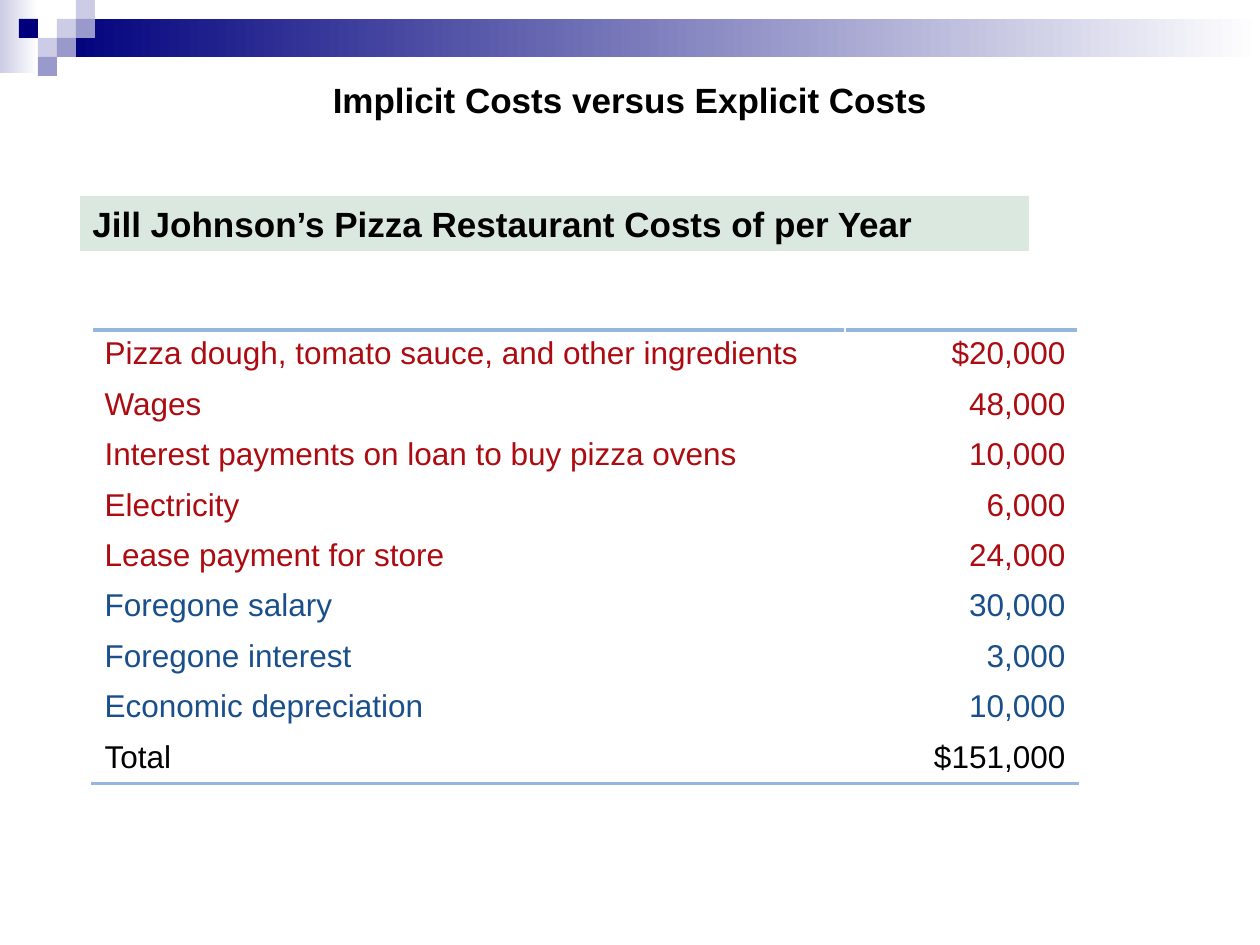
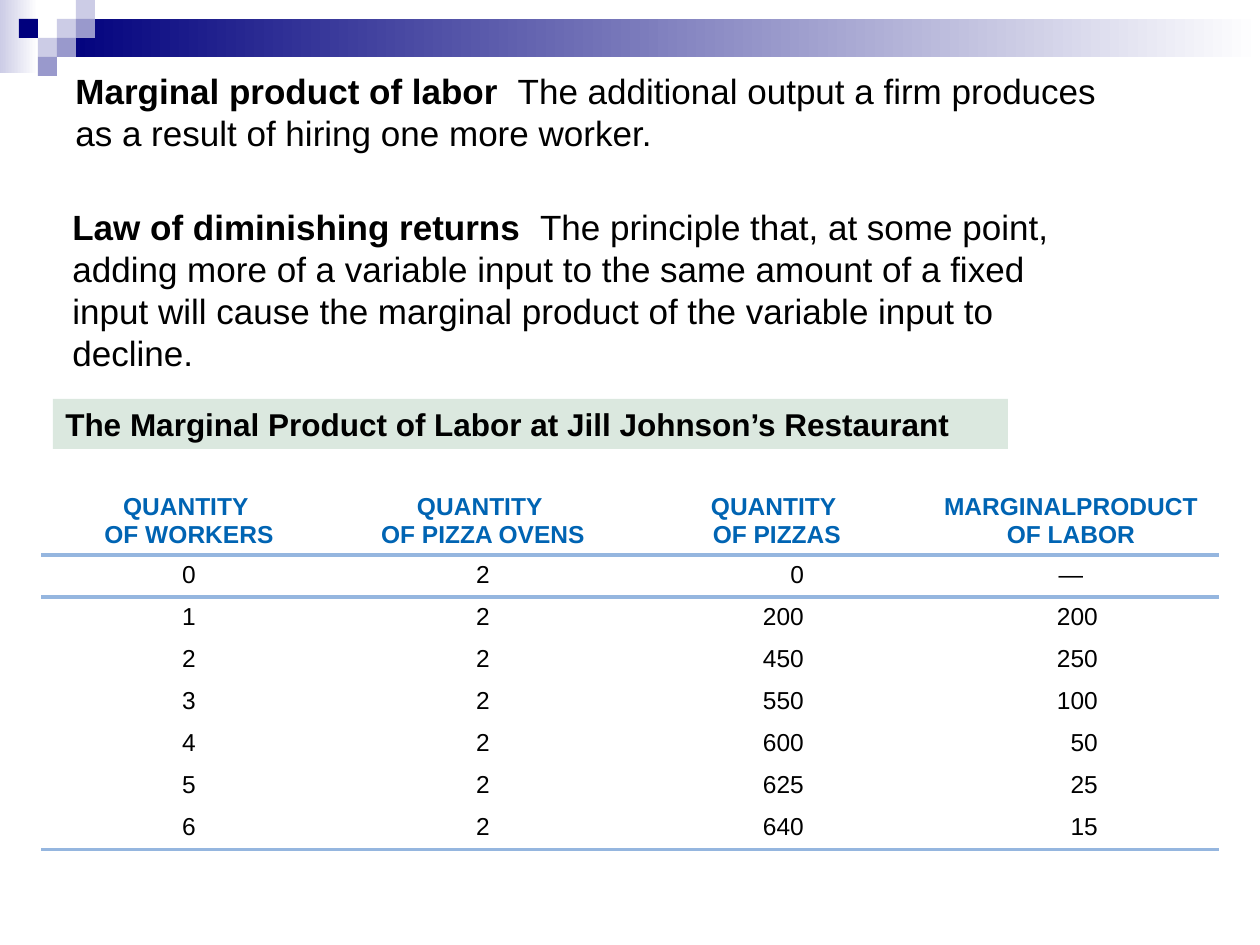
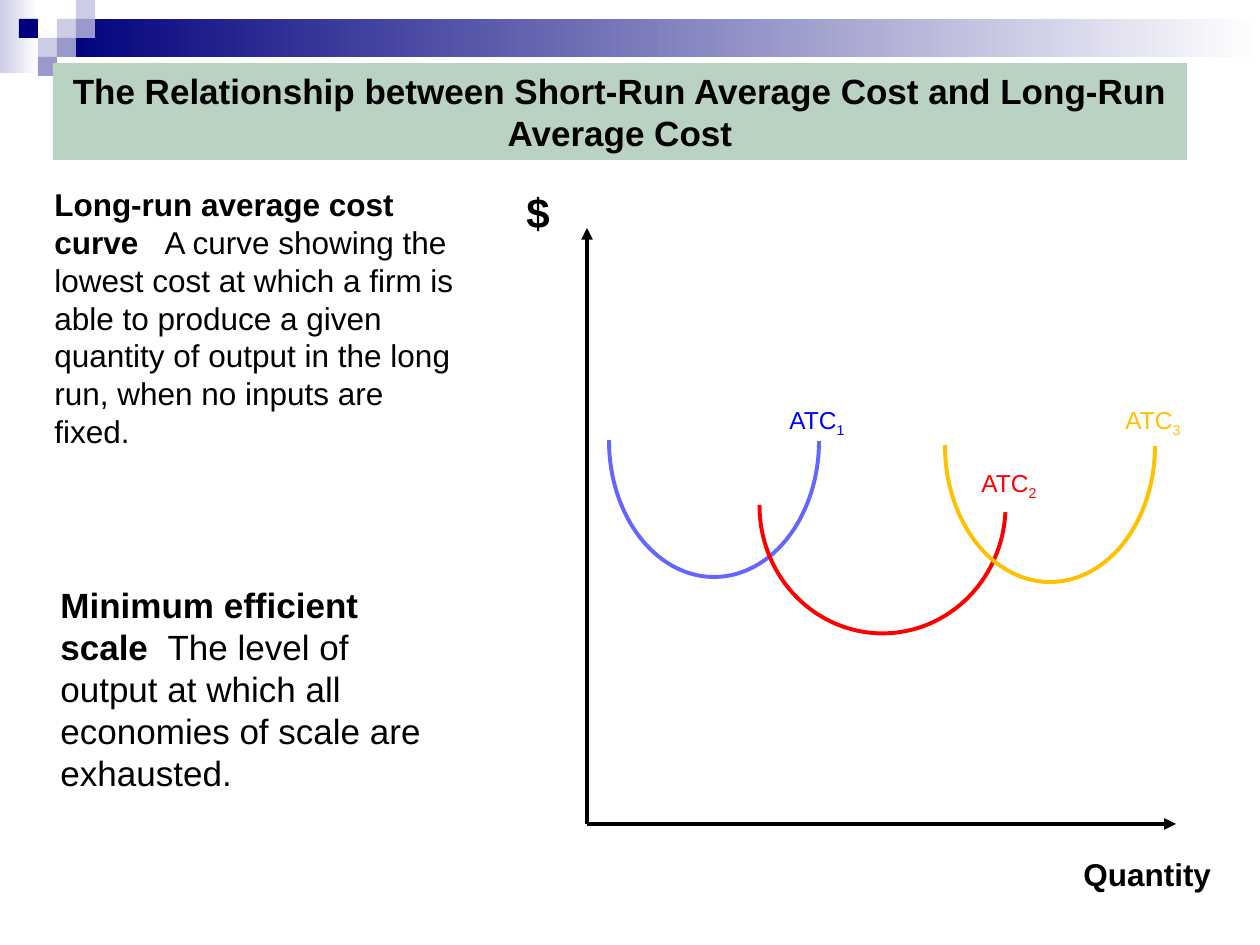
from typing import NamedTuple

from lxml import etree
from pptx import Presentation
from pptx import util as u
from pptx.dml.color import RGBColor
from pptx.enum import shapes, text
from pptx.oxml import ns

FONT = "Arial"
BLACK = RGBColor(0x00, 0x00, 0x00)
WHITE = RGBColor(0xFF, 0xFF, 0xFF)
NAVY = RGBColor(0x00, 0x00, 0x7D)
LAVENDER = RGBColor(0xCC, 0xCC, 0xE6)
PERIWINKLE = RGBColor(0x99, 0x99, 0xCC)
SAGE = RGBColor(0xB9, 0xD2, 0xC1)
RULE_BLUE = RGBColor(0x95, 0xB6, 0xDF)
HEADER_BLUE = RGBColor(0x00, 0x64, 0xB3)
EXPLICIT_RED = RGBColor(0xAC, 0x0C, 0x11)
IMPLICIT_BLUE = RGBColor(0x19, 0x4F, 0x8B)
CURVE_BLUE = RGBColor(0x65, 0x65, 0xFF)
BLUE = RGBColor(0x00, 0x00, 0xFF)
RED = RGBColor(0xFF, 0x00, 0x00)
AMBER = RGBColor(0xFF, 0xC0, 0x00)

LEFT, CENTER, RIGHT = text.PP_ALIGN.LEFT, text.PP_ALIGN.CENTER, text.PP_ALIGN.RIGHT
PX_PER_INCH = 126
LINE_WIDTH = u.Pt(2.25)

COSTS = [
    ("Pizza dough, tomato sauce, and other ingredients", "$20,000", EXPLICIT_RED),
    ("Wages", "48,000", EXPLICIT_RED),
    ("Interest payments on loan to buy pizza ovens", "10,000", EXPLICIT_RED),
    ("Electricity", "6,000", EXPLICIT_RED),
    ("Lease payment for store", "24,000", EXPLICIT_RED),
    ("Foregone salary", "30,000", IMPLICIT_BLUE),
    ("Foregone interest", "3,000", IMPLICIT_BLUE),
    ("Economic depreciation", "10,000", IMPLICIT_BLUE),
    ("Total", "$151,000", BLACK),
]
PRODUCT_HEADERS = ["QUANTITY \nOF WORKERS", "QUANTITY \nOF PIZZA OVENS",
                   "QUANTITY \nOF PIZZAS", "MARGINALPRODUCT OF LABOR"]
PIZZAS = ["0", "200", "450", "550", "600", "625", "640"]
MARGINAL_PRODUCT = ["—", "200", "250", "100", "50", "25", "15"]


def px(length):
    return u.Emu(round(length * u.Inches(1) / PX_PER_INCH))


class Box(NamedTuple):
    left: int
    top: int
    width: int
    height: int

    def inner(self, dx, dy, width, height):
        return Box(self.left + dx, self.top + dy, width, height)

    def emu(self):
        return [px(length) for length in self]


def add_span(para, words, size, color=BLACK, bold=False, baseline=0):
    span = para.add_run()
    span.text = words
    span.font.name, span.font.size = FONT, u.Pt(size)
    span.font.bold = bold
    span.font.color.rgb = color
    if baseline:
        span.font._rPr.set("baseline", str(baseline * 1000))


def start_text(shape, align=LEFT):
    frame = shape.text_frame
    frame.word_wrap = True
    frame.auto_size = text.MSO_AUTO_SIZE.SHAPE_TO_FIT_TEXT
    frame.vertical_anchor = text.MSO_ANCHOR.TOP
    para = frame.paragraphs[0]
    para.alignment = align
    return para


def add_label(page, box, words, size, align=LEFT):
    para = start_text(page.shapes.add_textbox(*box.emu()), align)
    add_span(para, words, size, bold=True)


def add_definition(page, box, term, meaning, size=20):
    para = start_text(page.shapes.add_textbox(*box.emu()))
    add_span(para, term, size, bold=True)
    add_span(para, meaning, size)


def add_rectangle(parent, box):
    rectangle = parent.shapes.add_shape(shapes.MSO_SHAPE.RECTANGLE, *box.emu())
    rectangle.shadow.inherit = False
    rectangle.line.fill.background()
    return rectangle


def fill_solid(shape, color):
    shape.fill.solid()
    shape.fill.fore_color.rgb = color


def fill_fade(shape, color):
    """Fade from the colour on the left to white on the right."""
    shape.fill.gradient()
    shape.fill.gradient_angle = 0
    for stop, shade in zip(shape.fill.gradient_stops, (color, WHITE)):
        stop.color.rgb = shade


def add_banner(page, box, words, size, align=LEFT, opacity=100):
    banner = add_rectangle(page, box)
    fill_solid(banner, SAGE)
    if opacity < 100:
        shade = banner.element.spPr.find(".//" + ns.qn("a:srgbClr"))
        etree.SubElement(shade, ns.qn("a:alpha"), val=str(opacity * 1000))
    add_span(start_text(banner, align), words, size, bold=True)


def decorate_layout(layout, page):
    """Build the top band as a group and move it to the layout all slides use."""
    step = 19
    band = page.shapes.add_group_shape()
    fill_fade(add_rectangle(band, Box(0, 0, 2 * step, 73)), LAVENDER)
    fill_fade(add_rectangle(band, Box(3 * step, step, 1260 - 3 * step, 2 * step)), NAVY)
    squares = [(3, 1, LAVENDER), (4, 0, LAVENDER), (4, 1, PERIWINKLE), (2, 2, LAVENDER),
               (1, 1, NAVY), (3, 2, PERIWINKLE), (2, 3, PERIWINKLE)]
    for column, row, color in squares:
        square = add_rectangle(band, Box(column * step, row * step, step, step))
        fill_solid(square, color)
    for holder in list(layout.placeholders):
        layout.shapes.element.remove(holder.element)
    layout.shapes.element.append(band.element)


def add_plain_table(page, box, row_count, widths, header_height=0):
    """Share the height equally between the rows, below an optional taller header."""
    table = page.shapes.add_table(row_count, len(widths), *box.emu()).table
    table.first_row = table.horz_banding = False
    for column, width in zip(table.columns, widths):
        column.width = px(width)
    rows = list(table.rows)
    if header_height:
        rows.pop(0).height = px(header_height)
    for row in rows:
        row.height = px((box.height - header_height) / len(rows))
    return table


def fill_cell(cell, words, size, color, align, bold=False, rules=()):
    """Write the text and rule the sides named in rules ("T" above, "B" below)."""
    para = cell.text_frame.paragraphs[0]
    para.alignment = align
    for number, line in enumerate(words.split("\n")):
        if number:
            para.add_line_break()
        add_span(para, line, size, color, bold)
    properties = cell._tc.get_or_add_tcPr()
    for side in rules:
        rule = etree.SubElement(properties, ns.qn(f"a:ln{side}"), w=str(LINE_WIDTH))
        paint = etree.SubElement(rule, ns.qn("a:solidFill"))
        etree.SubElement(paint, ns.qn("a:srgbClr"), val=str(RULE_BLUE))
    cell.fill.background()


def add_cost_table(page, box):
    amount_width = 233
    table = add_plain_table(page, box, len(COSTS), [box.width - amount_width, amount_width])
    rules = {0: "T", len(COSTS) - 1: "B"}
    for row, (item, amount, color) in enumerate(COSTS):
        for column, (words, align) in enumerate([(item, LEFT), (amount, RIGHT)]):
            fill_cell(table.cell(row, column), words, 18, color, align,
                      rules=rules.get(row, ""))


def add_product_table(page, box):
    last = len(PIZZAS)
    widths = [box.width / len(PRODUCT_HEADERS)] * len(PRODUCT_HEADERS)
    table = add_plain_table(page, box, last + 1, widths, header_height=72)
    for column, words in enumerate(PRODUCT_HEADERS):
        cell = table.cell(0, column)
        cell.vertical_anchor = text.MSO_ANCHOR.BOTTOM
        fill_cell(cell, words, 14, HEADER_BLUE, CENTER, bold=True, rules="B")
    rules = {1: "T", last: "B"}
    for row, (pizzas, product) in enumerate(zip(PIZZAS, MARGINAL_PRODUCT), start=1):
        for column, words in enumerate([str(row - 1), "2", pizzas, product]):
            cell = table.cell(row, column)
            right_aligned = column >= 2 and words != "—"
            if right_aligned:
                cell.margin_right = px(120)
            fill_cell(cell, words, 14, BLACK, RIGHT if right_aligned else CENTER,
                      rules=rules.get(row, ""))


def add_axis(page, start, end):
    axis = page.shapes.add_connector(shapes.MSO_CONNECTOR.STRAIGHT,
                                     *map(px, start), *map(px, end))
    axis.line.color.rgb = BLACK
    axis.line.width = LINE_WIDTH
    etree.SubElement(axis.line._get_or_add_ln(), ns.qn("a:tailEnd"), type="triangle")
    etree.SubElement(axis.element.spPr, ns.qn("a:effectLst"))


def add_curve(page, box, color, start_angle):
    """Draw a U: the right half of an ellipse, turned a quarter clockwise."""
    curve = page.shapes.add_shape(shapes.MSO_SHAPE.ARC, *box.emu())
    curve.shadow.inherit = False
    curve.rotation = 90
    curve.adjustments[0], curve.adjustments[1] = start_angle, 54.29
    curve.fill.background()
    curve.line.color.rgb = color
    curve.line.width = LINE_WIDTH


def add_cost_curves(page, box):
    origin = (box.left + 73, box.top + 644)
    add_axis(page, origin, (origin[0], box.top + 48))
    add_axis(page, origin, (box.left + 662, origin[1]))
    add_label(page, box.inner(0, 0, 53, 63), "$", 24)
    add_label(page, box.inner(557, 669, 168, 50), "Quantity", 18)

    add_curve(page, box.inner(64, 156, 272, 210), CURVE_BLUE, 162.06)
    add_curve(page, box.inner(241, 203, 255, 246), RED, 163.76)
    add_curve(page, box.inner(400, 161, 272, 210), AMBER, 162.06)

    labels = [(263, 219, BLUE), (455, 282, RED), (599, 219, AMBER)]
    for number, (dx, dy, color) in enumerate(labels, start=1):
        label = page.shapes.add_textbox(*box.inner(dx, dy, 84, 43).emu())
        para = start_text(label)
        add_span(para, "ATC", 14, color)
        add_span(para, str(number), 14, color, baseline=-25)


def build_costs_slide(page):
    add_cost_table(page, Box(92, 330, 986, 454))
    add_banner(page, Box(80, 196, 949, 55),
               "Jill Johnson’s Pizza Restaurant Costs of per Year", 20, opacity=50)
    add_label(page, Box(106, 72, 1048, 62), "Implicit Costs versus Explicit Costs", 20, CENTER)


def build_product_slide(page):
    add_definition(page, Box(63, 63, 1081, 97), "Marginal product of labor  ",
                   "The additional output a firm produces as a result of hiring "
                   "one more worker.")
    add_product_table(page, Box(42, 483, 1176, 366))
    add_banner(page, Box(53, 399, 955, 50),
               "The Marginal Product of Labor at Jill Johnson’s Restaurant", 18, opacity=50)
    add_definition(page, Box(60, 199, 1022, 183), "Law of diminishing returns  ",
                   "The principle that, at some point, adding more of a variable input "
                   "to the same amount of a fixed input will cause the marginal product "
                   "of the variable input to decline.")


def build_curves_slide(page):
    add_banner(page, Box(53, 63, 1134, 97),
               "The Relationship between Short-Run Average Cost and Long-Run Average Cost",
               20, CENTER)
    add_definition(page, Box(42, 179, 436, 280), "Long-run average cost curve   ",
                   "A curve showing the lowest cost at which a firm is able to produce "
                   "a given quantity of output in the long run, when no inputs are fixed.",
                   size=18)
    add_definition(page, Box(48, 577, 388, 224), "Minimum efficient scale  ",
                   "The level of output at which all economies of scale are exhausted.")
    add_cost_curves(page, Box(514, 180, 725, 720))


def main():
    deck = Presentation()
    deck.slide_width, deck.slide_height = u.Inches(10), u.Inches(7.5)
    blank = deck.slide_layouts[6]
    builders = [build_costs_slide, build_product_slide, build_curves_slide]
    pages = [deck.slides.add_slide(blank) for _ in builders]
    decorate_layout(blank, pages[0])
    for build, page in zip(builders, pages):
        build(page)
    deck.save("out.pptx")


if __name__ == "__main__":
    main()
